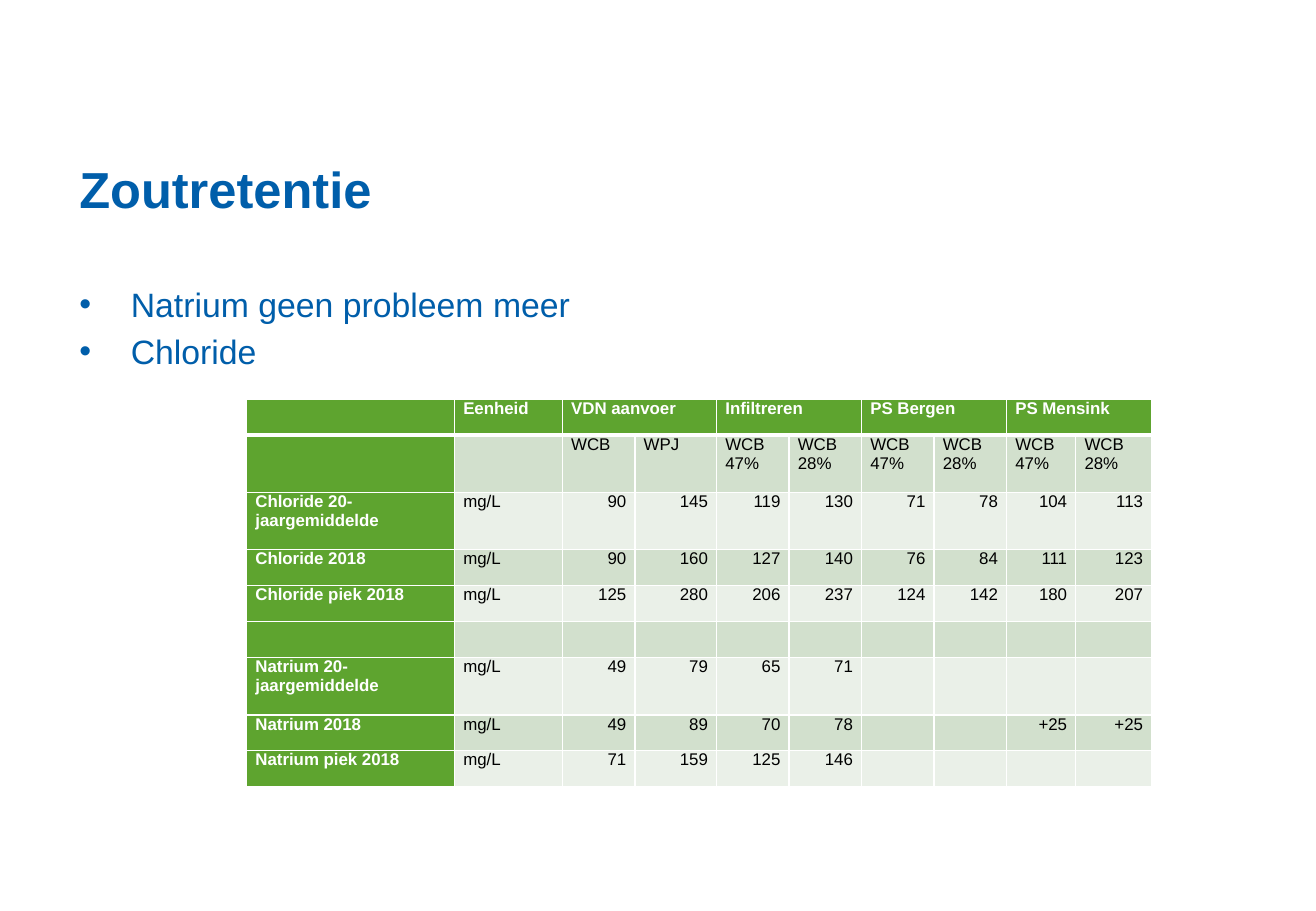
from lxml import etree
from pptx import Presentation
from pptx.dml.color import RGBColor
from pptx.enum.text import MSO_ANCHOR, PP_ALIGN
from pptx.oxml.ns import qn
from pptx.util import Pt

BOTTOM, TOP = MSO_ANCHOR.BOTTOM, MSO_ANCHOR.TOP
LEFT, RIGHT = PP_ALIGN.LEFT, PP_ALIGN.RIGHT
FONT = "Arial"
COLORS = {
    "blue": "005EAA",
    "green": "5EA42F",
    "dark band": "D2E0CD",
    "light band": "EAF0E8",
    "white": "FFFFFF",
    "black": "000000",
}

TITLE_BOX = (39, 43.5, 702, 90)
BULLET_BOX = (39, 164, 702, 304.5)
TABLE_BOX = (146.2, 236.6, 536.6, 229.8)

BULLETS = ["Natrium geen probleem meer", "Chloride"]
COLUMN_WIDTHS = [123.2, 64, 43, 48.4, 43, 43, 43, 43, 41, 45]
SHORT_ROW, TALL_ROW = 21.3, 34
TALL_ROWS = {1, 2, 6}
GROUP_COLUMNS = range(2, 10, 2)
ROWS = [
    ["", "Eenheid", "VDN aanvoer", "", "Infiltreren", "", "PS Bergen", "", "PS Mensink", ""],
    ["", "", "WCB", "WPJ"] + ["WCB 47%", "WCB 28%"] * 3,
    ["Chloride 20-jaargemiddelde", "mg/L", "90", "145", "119", "130", "71", "78", "104", "113"],
    ["Chloride 2018", "mg/L", "90", "160", "127", "140", "76", "84", "111", "123"],
    ["Chloride piek 2018", "mg/L", "125", "280", "206", "237", "124", "142", "180", "207"],
    [""] * 10,
    ["Natrium 20-jaargemiddelde", "mg/L", "49", "79", "65", "71", "", "", "", ""],
    ["Natrium 2018", "mg/L", "49", "89", "70", "78", "", "", "+25", "+25"],
    ["Natrium piek 2018", "mg/L", "71", "159", "125", "146", "", "", "", ""],
]


def set_font(paragraph, size, color, bold=False):
    """Set the font of a whole paragraph."""
    font = paragraph.font
    font.name, font.size, font.bold = FONT, Pt(size), bold
    font.color.rgb = RGBColor.from_string(COLORS[color])


def add_text_frame(page, box, anchor):
    """Add a wrapping text box and return its text frame."""
    frame = page.shapes.add_textbox(*map(Pt, box)).text_frame
    frame.word_wrap = True
    frame.vertical_anchor = anchor
    frame.margin_left = frame.margin_right = Pt(8)
    frame.margin_top = frame.margin_bottom = Pt(4)
    return frame


def add_title(page, box):
    """Add the title at the bottom of its box."""
    paragraph = add_text_frame(page, box, BOTTOM).paragraphs[0]
    paragraph.text = "Zoutretentie"
    set_font(paragraph, 30, "blue", bold=True)


def add_bullets(page, box):
    """Add the bulleted statements."""
    frame = add_text_frame(page, box, TOP)
    for index, text in enumerate(BULLETS):
        paragraph = frame.add_paragraph() if index else frame.paragraphs[0]
        paragraph.text = text
        if index:
            paragraph.space_before = Pt(4.2)
        properties = paragraph._p.get_or_add_pPr()
        properties.set("marL", str(Pt(30.5)))
        properties.set("indent", str(Pt(-30.5)))
        etree.SubElement(properties, qn("a:buFont"), typeface=FONT)
        etree.SubElement(properties, qn("a:buChar"), char="•")
        set_font(paragraph, 20, "blue")


def set_borders(cell, top, bottom):
    """Draw white borders around a cell."""
    properties = cell._tc.get_or_add_tcPr()
    widths = {"lnL": 1, "lnR": 1, "lnT": top, "lnB": bottom}
    for position, (side, width) in enumerate(widths.items()):
        line = etree.Element(qn(f"a:{side}"), w=str(Pt(width)))
        fill = etree.SubElement(line, qn("a:solidFill"))
        etree.SubElement(fill, qn("a:srgbClr"), val=COLORS["white"])
        properties.insert(position, line)


def fill_cell(cell, text, row, column):
    """Style one table cell according to its row and column."""
    heading = row == 0 or column == 0
    band = "dark band" if row % 2 else "light band"
    cell.fill.solid()
    cell.fill.fore_color.rgb = RGBColor.from_string(COLORS["green" if heading else band])
    cell.margin_left = cell.margin_right = Pt(5.2)
    cell.margin_top = cell.margin_bottom = Pt(0)
    paragraph = cell.text_frame.paragraphs[0]
    paragraph.text = text
    paragraph.alignment = RIGHT if row > 1 and column > 1 else LEFT
    set_font(paragraph, 10, "white" if heading else "black", bold=heading)
    set_borders(cell, top=3 if row == 1 else 1, bottom=3 if row == 0 else 1)


def add_salt_table(page, box):
    """Add the table of chloride and sodium concentrations."""
    table = page.shapes.add_table(len(ROWS), len(COLUMN_WIDTHS), *map(Pt, box)).table
    for column, width in zip(table.columns, COLUMN_WIDTHS):
        column.width = Pt(width)
    for row, texts in enumerate(ROWS):
        table.rows[row].height = Pt(TALL_ROW if row in TALL_ROWS else SHORT_ROW)
        for column, text in enumerate(texts):
            fill_cell(table.cell(row, column), text, row, column)
    for column in GROUP_COLUMNS:
        table.cell(0, column).merge(table.cell(0, column + 1))


def main():
    """Build the deck with its single slide."""
    deck = Presentation()
    deck.slide_width, deck.slide_height = Pt(780), Pt(540)
    page = deck.slides.add_slide(deck.slide_layouts[6])
    add_title(page, TITLE_BOX)
    add_bullets(page, BULLET_BOX)
    add_salt_table(page, TABLE_BOX)
    deck.save("out.pptx")


if __name__ == "__main__":
    main()
